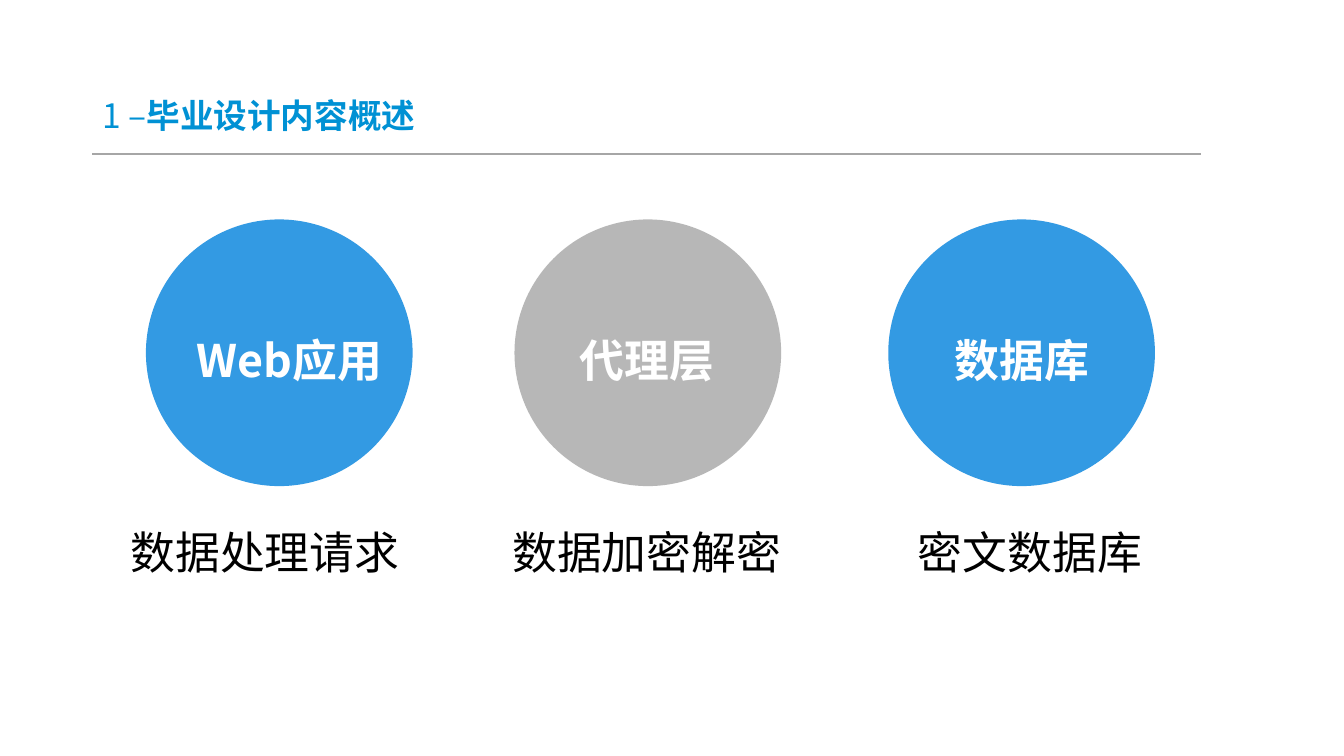
from pptx import Presentation
from pptx.dml.color import RGBColor
from pptx.enum.shapes import MSO_CONNECTOR as CONN, MSO_SHAPE as SHAPE
from pptx.enum.text import MSO_ANCHOR as ANCHOR, MSO_AUTO_SIZE as AUTO, PP_ALIGN as ALIGN
from pptx.oxml.ns import qn
from pptx.util import Pt
from lxml.etree import SubElement

BLUE = RGBColor(0x00, 0x81, 0xDC)
TITLE_BLUE = RGBColor(0x00, 0x91, 0xD4)
GRAY = RGBColor(0xA6, 0xA6, 0xA6)
WHITE = RGBColor(0xFF, 0xFF, 0xFF)
BLACK = RGBColor(0x00, 0x00, 0x00)


class Deck:
    """Holds the slide style and draws elements in px."""

    PX = 9525
    FONT = "Noto Sans CJK SC"

    def __init__(self, width, height):
        self.prs = Presentation()
        self.prs.slide_width, self.prs.slide_height = self.emu(width, height)
        self.s = self.prs.slides.add_slide(self.prs.slide_layouts[6])

    def emu(self, *lengths):
        return [n * self.PX for n in lengths]

    def style(self, p, size, color):
        p.font.name, p.font.size = self.FONT, Pt(size)
        p.font.color.rgb = color
        props = p._p.pPr.find(qn("a:defRPr"))
        SubElement(props, qn("a:ea")).set("typeface", self.FONT)

    def text_box(self, *box):
        tf = self.s.shapes.add_textbox(*self.emu(*box)).text_frame
        tf.word_wrap = True
        return tf

    def title(self, number, text, *box):
        tf = self.text_box(*box)
        tf.vertical_anchor = ANCHOR.MIDDLE
        p = tf.paragraphs[0]
        p.line_spacing = 0.9
        self.style(p, 24, TITLE_BLUE)
        p.add_run().text = number
        r = p.add_run()
        r.text = text
        r.font.bold = True

    def rule(self, *ends):
        line = self.s.shapes.add_connector(CONN.STRAIGHT, *self.emu(*ends))
        line.line.color.rgb = GRAY
        line.line.width = Pt(1.5)
        SubElement(line._element.spPr, qn("a:effectLst"))

    def circle(self, x, y, size, color):
        sp = self.s.shapes.add_shape(SHAPE.OVAL, *self.emu(x, y, size, size))
        sp.shadow.inherit = False
        sp.fill.solid()
        sp.fill.fore_color.rgb = color
        sp.line.fill.background()
        tint = sp._element.spPr.find(qn("a:solidFill"))[0]
        SubElement(tint, qn("a:alpha")).set("val", "80000")

    def label(self, text, x, y, width, color, bold=False):
        tf = self.text_box(x, y, width, 61)
        tf.auto_size = AUTO.SHAPE_TO_FIT_TEXT
        p = tf.paragraphs[0]
        p.alignment = ALIGN.CENTER
        p.font.bold = bold
        self.style(p, 32, color)
        p.add_run().text = text


def main():
    deck = Deck(1280, 720)
    deck.title("1 –", "毕业设计内容概述", 88, 77, 1104, 70)
    deck.rule(88, 147, 1144, 147)
    layers = [
        (139, BLUE, "Web应用", 174, 204, "数据处理请求", 102, 301),
        (490, GRAY, "代理层", 526, 180, "数据加密解密", 471, 290),
        (846, BLUE, "数据库", 887, 173, "密文数据库", 854, 254),
    ]
    for x, color, name, name_x, name_w, role, role_x, role_w in layers:
        deck.circle(x, 209, 254, color)
        deck.label(name, name_x, 312, name_w, WHITE, bold=True)
        deck.label(role, role_x, 495, role_w, BLACK)
    deck.prs.save("out.pptx")


if __name__ == "__main__":
    main()
